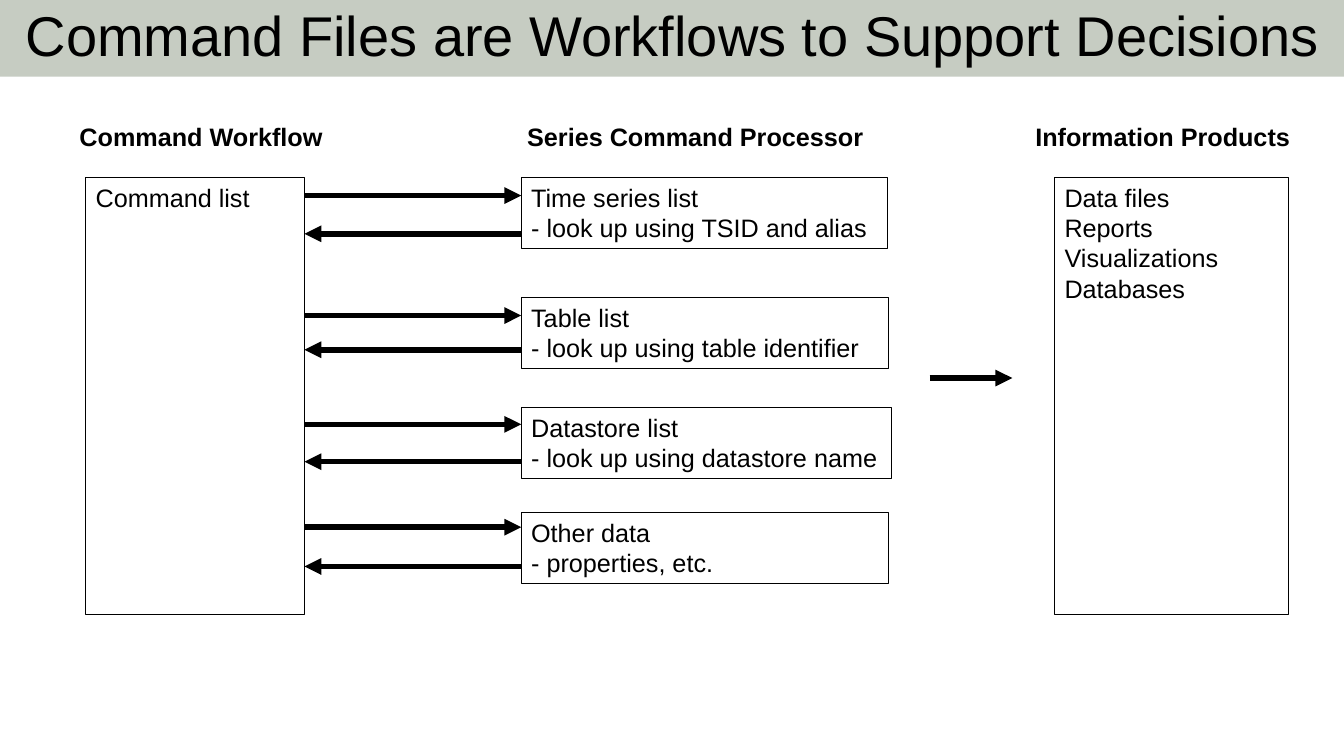
from lxml.etree import SubElement
from pptx import Presentation
from pptx.dml.color import RGBColor
from pptx.enum.shapes import MSO_CONNECTOR as Connector, MSO_SHAPE as Shape
from pptx.enum.text import MSO_ANCHOR as Anchor, MSO_AUTO_SIZE as AutoSize, PP_ALIGN as Align
from pptx.oxml.ns import qn
from pptx.util import Inches, Pt

BLACK = "000000"
BAND = "C6CCC2"
FONT = "Arial"
TOP = 1.76
COLUMN_HEIGHT = 4.34
COMMAND_LEFT, COMMAND_WIDTH = 0.85, 2.17
COMMAND_RIGHT = COMMAND_LEFT + COMMAND_WIDTH
PROCESSOR_LEFT = 5.17

HEADINGS = [
    ("Command Workflow", 0.69, 2.64),
    ("Series Command Processor", 5.13, 3.65),
    ("Information Products", 10.17, 2.75),
]
PRODUCTS = ["Data files", "Reports", "Visualizations", "Databases"]
PROCESSOR_LISTS = [
    (TOP, 3.63, 1.94, 2.32, ["Time series list", "- look up using TSID and alias"]),
    (2.95, 3.64, 3.13, 3.47, ["Table list", "- look up using table identifier"]),
    (4.04, 3.67, 4.21, 4.58, ["Datastore list", "- look up using datastore name"]),
    (5.08, 3.64, 5.23, 5.62, ["Other data", "- properties, etc."]),
]


def color(value):
    return RGBColor.from_string(value)


def write_lines(frame, lines, size=18, bold=False, align=Align.LEFT, anchor=Anchor.TOP):
    frame.word_wrap = True
    frame.auto_size = AutoSize.NONE
    frame.vertical_anchor = anchor
    for index, line in enumerate(lines):
        paragraph = frame.add_paragraph() if index else frame.paragraphs[0]
        paragraph.alignment = align
        run = paragraph.add_run()
        run.text = line
        run.font.name = FONT
        run.font.size = Pt(size)
        run.font.bold = bold
        run.font.color.rgb = color(BLACK)


def add_title(slide, text):
    title = slide.shapes.title
    title.left, title.top = Inches(0), Inches(0)
    title.width, title.height = Inches(13.33), Inches(0.76)
    title.fill.solid()
    title.fill.fore_color.rgb = color(BAND)
    write_lines(title.text_frame, [text], 40, align=Align.CENTER, anchor=Anchor.MIDDLE)
    title.text_frame.paragraphs[0].line_spacing = 0.9


def add_heading(slide, text, left, width):
    heading = slide.shapes.add_textbox(Inches(left), Inches(1.15), Inches(width), Inches(0.4))
    write_lines(heading.text_frame, [text], bold=True)


def add_box(slide, left, top, width, height, lines):
    box = slide.shapes.add_shape(
        Shape.RECTANGLE, Inches(left), Inches(top), Inches(width), Inches(height))
    box.shadow.inherit = False
    box.fill.background()
    box.line.color.rgb = color(BLACK)
    box.line.width = Pt(0.75)
    write_lines(box.text_frame, lines)


def add_arrow(slide, start, end, y):
    """Draw a thick horizontal arrow that points at the end position."""
    arrow = slide.shapes.add_connector(
        Connector.STRAIGHT, Inches(start), Inches(y), Inches(end), Inches(y))
    arrow.line.color.rgb = color(BLACK)
    arrow.line.width = Pt(4)
    SubElement(arrow.line._get_or_add_ln(), qn("a:tailEnd"), type="triangle")
    SubElement(arrow._element.spPr, qn("a:effectLst"))


def main():
    presentation = Presentation()
    presentation.slide_width = Inches(13.33)
    presentation.slide_height = Inches(7.5)
    slide = presentation.slides.add_slide(presentation.slide_layouts[5])

    add_title(slide, "Command Files are Workflows to Support Decisions")
    for text, left, width in HEADINGS:
        add_heading(slide, text, left, width)

    add_box(slide, COMMAND_LEFT, TOP, COMMAND_WIDTH, COLUMN_HEIGHT, ["Command list"])
    add_box(slide, 10.46, TOP, 2.32, COLUMN_HEIGHT, PRODUCTS)
    for top, width, request_y, reply_y, lines in PROCESSOR_LISTS:
        add_box(slide, PROCESSOR_LEFT, top, width, 0.71, lines)
        add_arrow(slide, COMMAND_RIGHT, PROCESSOR_LEFT, request_y)
        add_arrow(slide, PROCESSOR_LEFT, COMMAND_RIGHT, reply_y)
    add_arrow(slide, 9.22, 10.04, 3.75)

    presentation.save("out.pptx")


if __name__ == "__main__":
    main()
